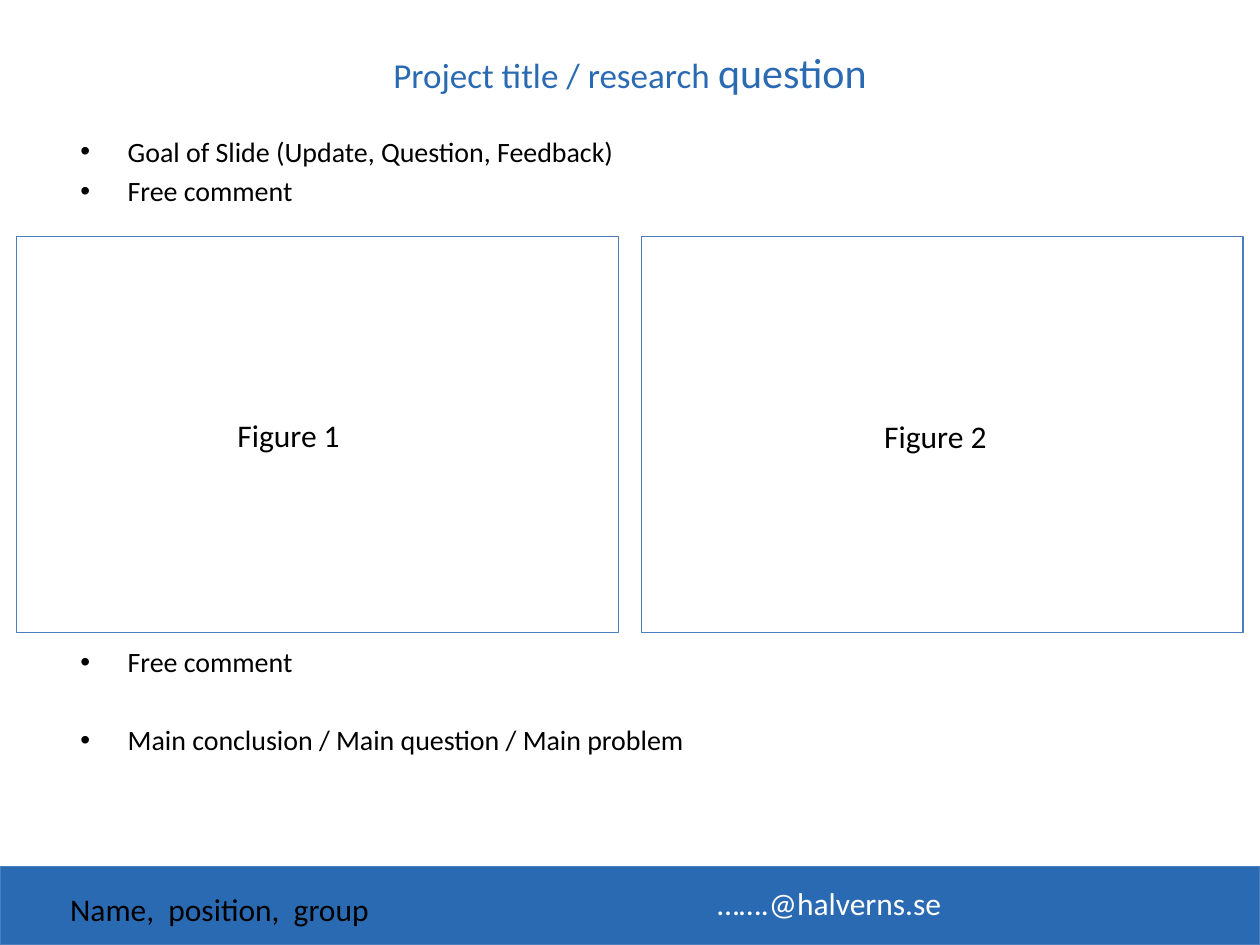
from lxml.etree import SubElement
from pptx import Presentation
from pptx.dml.color import RGBColor
from pptx.enum.shapes import MSO_SHAPE
from pptx.enum.text import PP_ALIGN
from pptx.oxml.ns import qn
from pptx.util import Pt

BLUE, BORDER, WHITE, BLACK = "2A6AB2", "4B7EBC", "FFFFFF", "000000"


def color(value):
    return RGBColor.from_string(value)


def add_text(left, top, width, height, lines, size, ink=BLACK):
    box = page.shapes.add_textbox(Pt(left), Pt(top), Pt(width), Pt(height))
    box.text_frame.word_wrap = True
    box.text_frame.text = "\n".join(lines)
    for para in box.text_frame.paragraphs:
        para.font.name = "Calibri"
        para.font.size = Pt(size)
        para.font.color.rgb = color(ink)
    return box


deck = Presentation()
deck.slide_width, deck.slide_height = Pt(720), Pt(540)
page = deck.slides.add_slide(deck.slide_layouts[5])

title = page.shapes.title
title.left, title.top, title.width, title.height = Pt(90.7), Pt(23.8), Pt(538.6), Pt(33.8)
para = title.text_frame.paragraphs[0]
para.alignment = PP_ALIGN.CENTER
for words, size in [("Project title / research ", 20), ("question", 24)]:
    span = para.add_run()
    span.text = words
    span.font.name = "Calibri"
    span.font.size = Pt(size)
    span.font.color.rgb = color(BLUE)

panels = [
    (0, 495, 720, 45, BLUE),
    (9.4, 135.2, 344, 226.4, WHITE),
    (366.4, 135.2, 344, 226.4, WHITE),
]
for left, top, width, height, fill in panels:
    panel = page.shapes.add_shape(MSO_SHAPE.RECTANGLE, Pt(left), Pt(top), Pt(width), Pt(height))
    panel.shadow.inherit = False
    panel.fill.solid()
    panel.fill.fore_color.rgb = color(fill)
    panel.line.color.rgb = color(BORDER)
    panel.line.width = Pt(0.75)

labels = [
    ("Figure 1", 128.6, 234, 142, BLACK),
    ("Figure 2", 498.2, 235, 142, BLACK),
    ("Name,  position,  group", 33, 505, 237, BLACK),
    ("…….@halverns.se", 402.9, 501.7, 237, WHITE),
]
for words, left, top, width, ink in labels:
    add_text(left, top, width, 29, [words], 18, ink)

comments = [
    (73.4, 3.2, ["Goal of Slide (Update, Question, Feedback)", "Free comment"]),
    (364.9, 25.4, ["Free comment", "Main conclusion / Main question / Main problem"]),
]
for top, gap, lines in comments:
    box = add_text(38.9, top, 629.3, 75, lines, 16)
    box.text_frame.paragraphs[1].space_before = Pt(gap)
    for para in box.text_frame.paragraphs:
        properties = para._p.get_or_add_pPr()
        properties.set("marL", str(Pt(27)))
        properties.set("indent", str(-Pt(27)))
        bullet_font = SubElement(properties, qn("a:buFont"), typeface="Arial")
        bullet = SubElement(properties, qn("a:buChar"), char="•")
        defaults = properties.find(qn("a:defRPr"))
        if defaults is not None:
            properties.remove(defaults)
        for span in para.runs:
            span.font.name = "Calibri"
            span.font.size = Pt(16)
            span.font.color.rgb = color(BLACK)

deck.save("out.pptx")
